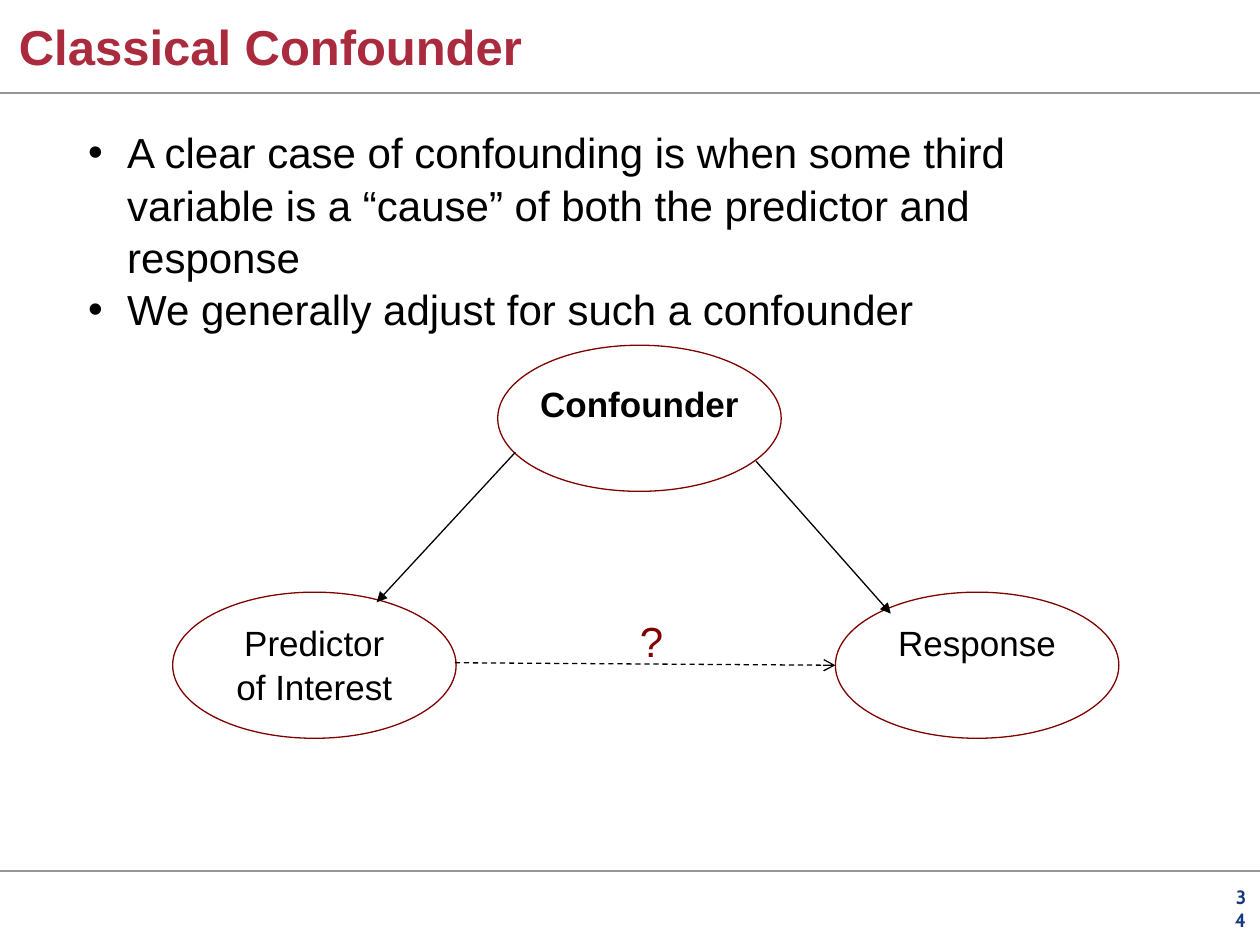
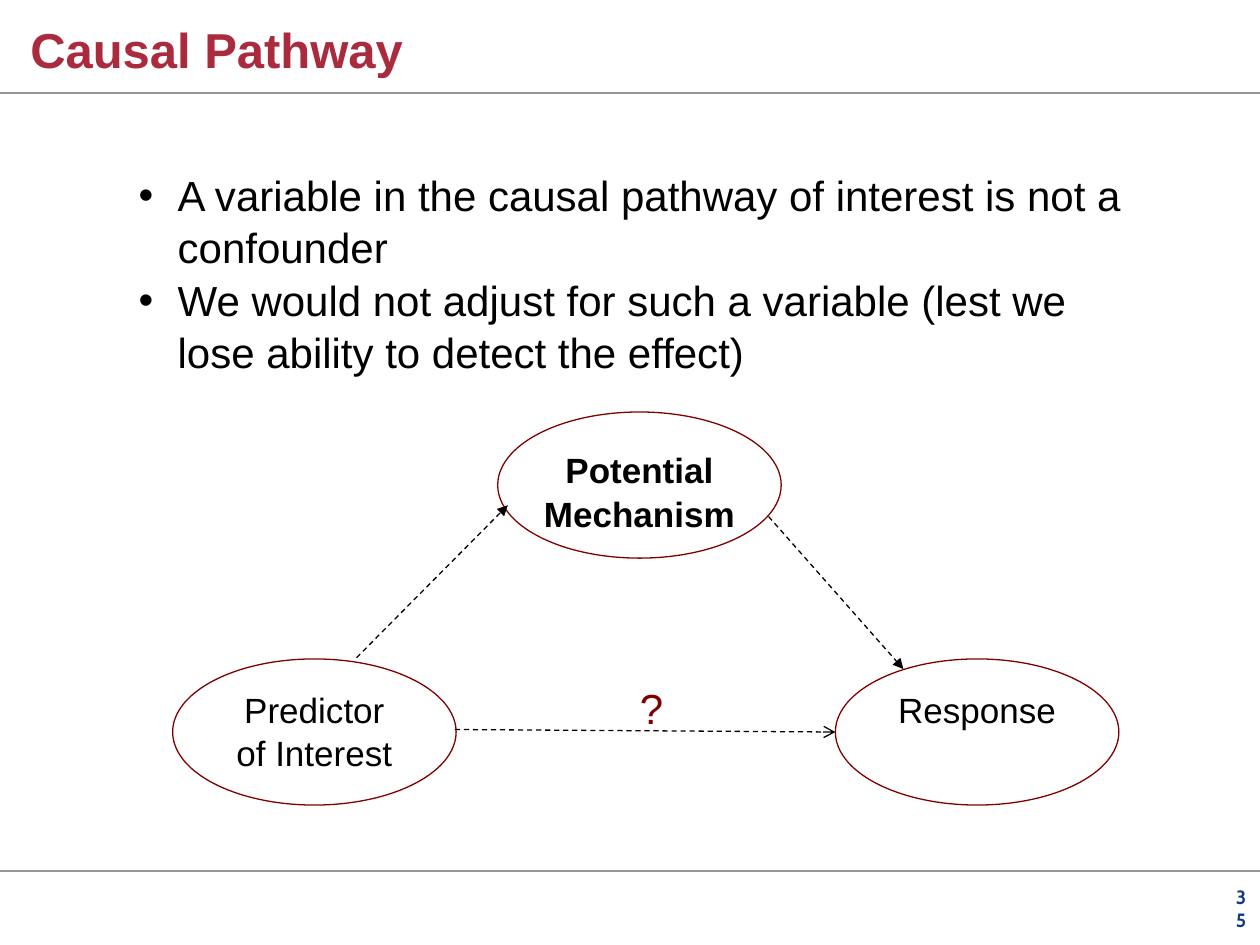
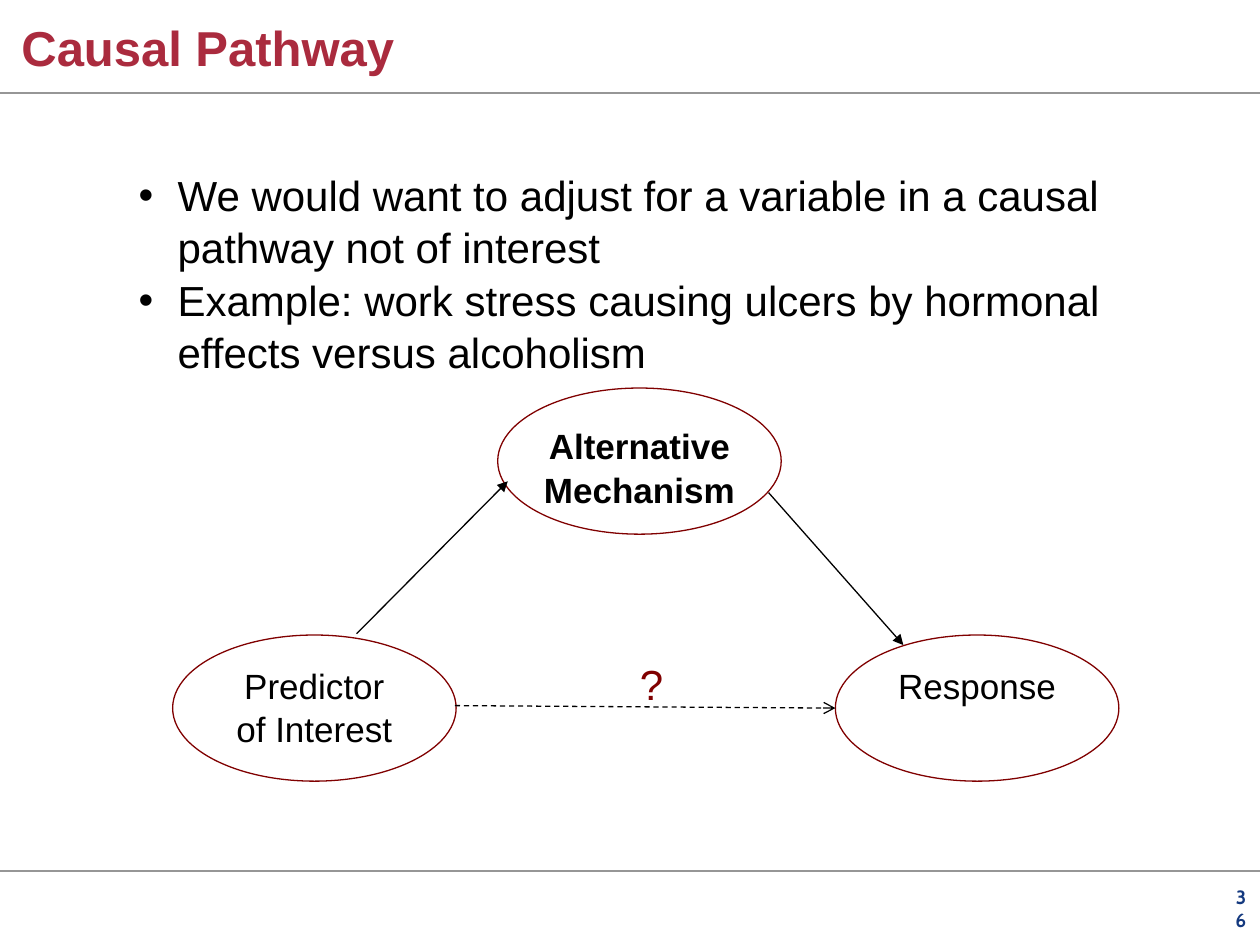
from lxml import etree
from pptx import Presentation
from pptx.dml.color import RGBColor
from pptx.enum.dml import MSO_LINE
from pptx.enum.shapes import MSO_CONNECTOR, MSO_SHAPE
from pptx.enum.text import MSO_ANCHOR, MSO_AUTO_SIZE, PP_ALIGN
from pptx.oxml.ns import qn
from pptx.util import Inches, Pt

LEFT, CENTER, RIGHT = PP_ALIGN.LEFT, PP_ALIGN.CENTER, PP_ALIGN.RIGHT
TOP, BOTTOM = MSO_ANCHOR.TOP, MSO_ANCHOR.BOTTOM
STRAIGHT, DASH = MSO_CONNECTOR.STRAIGHT, MSO_LINE.DASH

COLORS = {"title": "AA2B3E", "rule": "969696", "number": "14397F",
          "maroon": "800000", "text": "000000"}
W, H = 10, 7.5
RULES = (0.74, 6.91)
NODE_W, NODE_H = 2.25, 1.16
NODE_X = {"third": 3.95, "predictor": 1.37, "response": 6.63}
ROW = 1.96  # from the top of the third variable to the lower nodes

# Arrow ends: x, and y below the top of the third variable
CONFOUNDING = [((6, 0.92), (7.07, 2.13)), ((4.09, 0.85), (2.99, 2.04))]
PATHWAY = [((6.1, 0.83), (7.17, 2.04)), ((2.83, 1.95), (4.03, 0.74))]
EFFECT = ((3.61, 2.52), (6.63, 2.54))

SLIDES = [
    dict(title="Classical Confounder", title_at=(0.15, 0.1), body_at=(0.6, 0.94),
         bullets=["A clear case of confounding is when some third variable is a "
                  "“cause” of both the predictor and response",
                  "We generally adjust for such a confounder"],
         third="Confounder", top=2.74, arrows=CONFOUNDING, dashed=False),
    dict(title="Causal Pathway", title_at=(0.24, 0.12), body_at=(1, 1.28),
         bullets=["A variable in the causal pathway of interest is not a confounder",
                  "We would not adjust for such a variable (lest we lose ability "
                  "to detect the effect)"],
         third="Potential Mechanism", top=3.27, arrows=PATHWAY, dashed=True),
    dict(title="Causal Pathway", title_at=(0.17, 0.11), body_at=(1, 1.28),
         bullets=["We would want to adjust for a variable in a causal pathway "
                  "not of interest",
                  "Example: work stress causing ulcers by hormonal effects "
                  "versus alcoholism"],
         third="Alternative Mechanism", top=3.08, arrows=PATHWAY, dashed=False),
]


def write(shape, lines, size, color, align=LEFT, anchor=TOP, bold=False,
          font="Arial", inset=(0.1, 0.05), spacing=1.04):
    tf = shape.text_frame
    tf.text = "\n".join(lines)
    tf.word_wrap, tf.auto_size = True, MSO_AUTO_SIZE.NONE
    tf.vertical_anchor = anchor
    tf.margin_left = tf.margin_right = Inches(inset[0])
    tf.margin_top = tf.margin_bottom = Inches(inset[1])
    for p in tf.paragraphs:
        p.alignment, p.line_spacing = align, spacing
        p.space_before = p.space_after = Pt(0)
        f = p.runs[0].font
        f.name, f.size, f.bold = font, Pt(size), bold
        f.color.rgb = RGBColor.from_string(COLORS[color])


def add_line(s, start, end, color="text", width=0.75, dashed=False, head=None):
    line = s.shapes.add_connector(STRAIGHT, *map(Inches, start + end))
    line.line.color.rgb = RGBColor.from_string(COLORS[color])
    line.line.width = Pt(width)
    if dashed:
        line.line.dash_style = DASH
    if head:
        etree.SubElement(line.line._get_or_add_ln(), qn("a:tailEnd"), type=head)
    etree.SubElement(line._element.spPr, qn("a:effectLst"))


prs = Presentation()
prs.slide_width, prs.slide_height = Inches(W), Inches(H)

for number, page in enumerate(SLIDES, start=34):
    s = prs.slides.add_slide(prs.slide_layouts[1])
    top = page["top"]

    for y in RULES:
        add_line(s, (0, y), (W, y), "rule", 1)
    box = s.shapes.add_textbox(*map(Inches, (9.74, 7.21, 0.15, 0.18)))
    write(box, [str(number)], 11, "number", RIGHT, BOTTOM, True, "Cabin", (0, 0), 1)

    title, body = s.placeholders
    title.left, title.top = map(Inches, page["title_at"])
    title.width, title.height = Inches(8.5), Inches(0.5)
    write(title, [page["title"]], 28, "title", anchor=BOTTOM, bold=True,
          inset=(0, 0), spacing=1)

    body.left, body.top = map(Inches, page["body_at"])
    body.width, body.height = Inches(8.25), Inches(1.72)
    write(body, page["bullets"], 24, "text")
    for p in body.text_frame.paragraphs:
        pPr = p._p.get_or_add_pPr()
        pPr.set("marL", str(Inches(0.31)))
        pPr.set("indent", str(Inches(-0.31)))
        etree.SubElement(pPr, qn("a:buFont"), typeface="Arial")
        etree.SubElement(pPr, qn("a:buChar"), char="•")

    nodes = [("third", page["third"], top),
             ("predictor", "Predictor of Interest", top + ROW),
             ("response", "Response", top + ROW)]
    for role, label, y in nodes:
        node = s.shapes.add_shape(MSO_SHAPE.OVAL, *map(
            Inches, (NODE_X[role], y, NODE_W, NODE_H)))
        node.shadow.inherit = False
        node.fill.background()
        node.line.color.rgb = RGBColor.from_string(COLORS["maroon"])
        node.line.width = Pt(0.75)
        is_third = role == "third"
        write(node, [label], 20, "text", CENTER, bold=is_third,
              inset=(0, 0.11) if is_third else (0.1, 0.05))

    links = [(ends, page["dashed"], "triangle") for ends in page["arrows"]]
    links.append((EFFECT, True, "arrow"))
    for ((x1, y1), (x2, y2)), dashed, head in links:
        add_line(s, (x1, top + y1), (x2, top + y2), dashed=dashed, head=head)

    mark = s.shapes.add_textbox(*map(Inches, (4.98, top + 2.08, 0.4, 0.5)))
    write(mark, ["?"], 24, "maroon")

prs.save("out.pptx")
